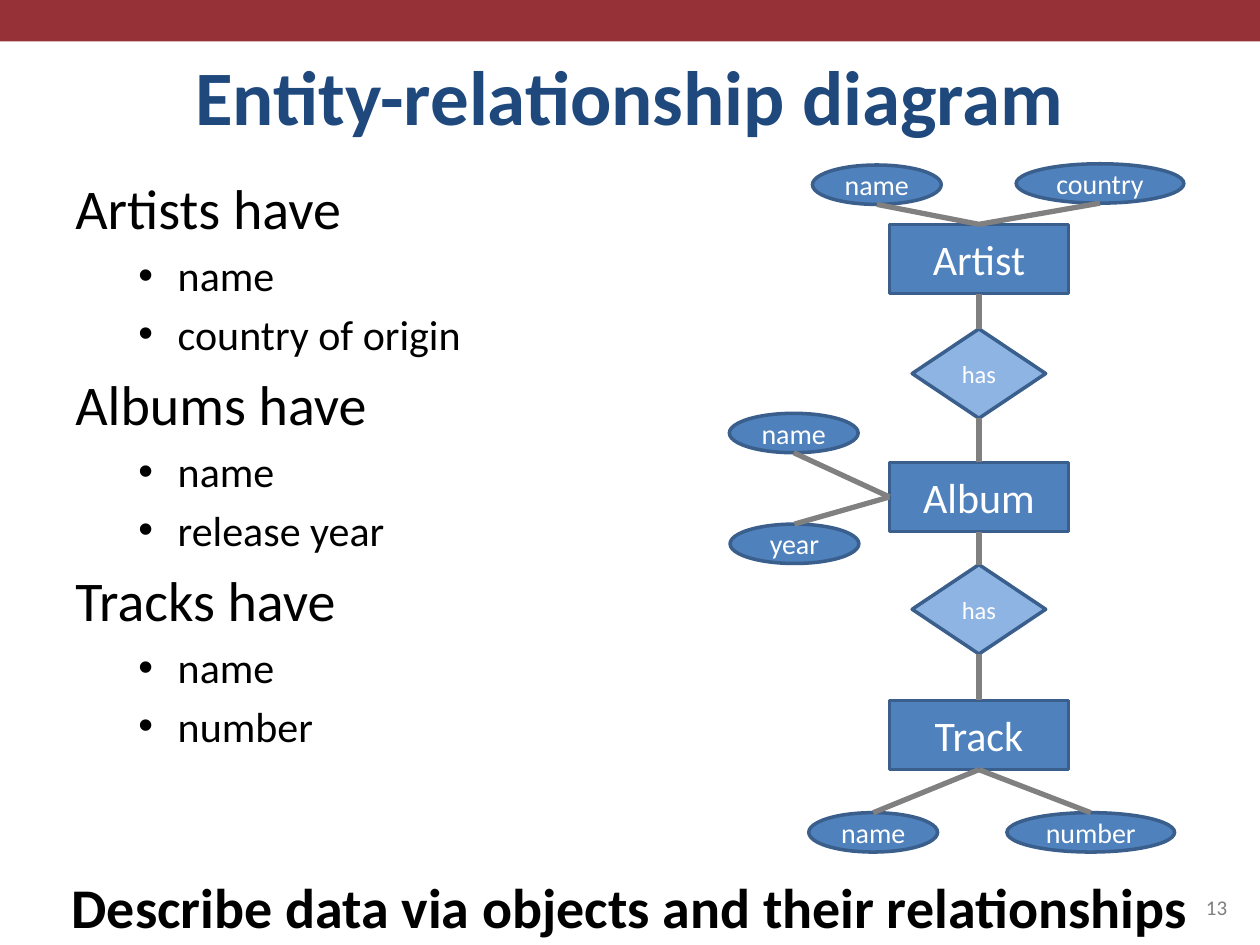
from lxml.etree import SubElement
from pptx import Presentation
from pptx.dml.color import RGBColor
from pptx.enum.shapes import MSO_CONNECTOR, MSO_SHAPE
from pptx.enum.text import MSO_ANCHOR, PP_ALIGN
from pptx.oxml.ns import qn
from pptx.util import Pt

CENTER = 559.4
ENTITY_SIZE = (102.2, 39.6)
RELATION_SIZE = (76.3, 51.1)
ATTRIBUTE_HEIGHT = 22.5
BLUE, LIGHT_BLUE, OUTLINE = "4F81BD", "8EB4E3", "3A5F8C"

ENTITIES = [("Artist", 128.2), ("Album", 264.2), ("Track", 400.2)]
RELATION_TOPS = [187.9, 322.6]
ATTRIBUTES = [
    ("name", 501.1, 94.3, 73.6, "Artist"),
    ("country", 628.6, 93.6, 95.8, "Artist"),
    ("name", 453.6, 236.2, 73.6, "Album"),
    ("year", 454, 299.5, 73.6, "Album"),
    ("name", 499, 464.4, 73.6, "Track"),
    ("number", 623.3, 464.4, 95.8, "Track"),
]
CONTENT = [
    ("Artists have", ["name", "country of origin"]),
    ("Albums have", ["name", "release year"]),
    ("Tracks have", ["name", "number"]),
]


def color(value):
    return RGBColor.from_string(value)


def add_span(para, text, size, ink, bold=False):
    span = para.add_run()
    span.text = text
    settings = {"name": "Calibri", "size": Pt(size), "bold": bold}
    for key, value in settings.items():
        setattr(span.font, key, value)
    span.font.color.rgb = color(ink)


def set_text(shape, text, size, ink, bold=False, align=PP_ALIGN.CENTER,
             anchor=MSO_ANCHOR.MIDDLE, wrap=True):
    frame = shape.text_frame
    for key, value in {"word_wrap": wrap, "vertical_anchor": anchor}.items():
        setattr(frame, key, value)
    para = frame.paragraphs[0]
    para.alignment = align
    add_span(para, text, size, ink, bold)


def add_box(page, left, top, width, height):
    return page.shapes.add_textbox(Pt(left), Pt(top), Pt(width), Pt(height))


def add_shape(page, kind, left, top, width, height, fill, outline=None):
    shape = page.shapes.add_shape(kind, Pt(left), Pt(top), Pt(width), Pt(height))
    shape.shadow.inherit = False
    shape.fill.solid()
    shape.fill.fore_color.rgb = color(fill)
    if outline:
        shape.line.color.rgb = color(outline)
        shape.line.width = Pt(2)
    else:
        shape.line.fill.background()
    return shape


def add_node(page, kind, text, center, top, size, fill, font_size):
    width, height = size
    node = add_shape(page, kind, center - width / 2, top, width, height,
                     fill, OUTLINE)
    set_text(node, text, font_size, "FFFFFF", wrap=False)


def add_link(page, start, end):
    link = page.shapes.add_connector(
        MSO_CONNECTOR.STRAIGHT, *(Pt(value) for value in (*start, *end)))
    link.line.color.rgb = color("808080")
    link.line.width = Pt(3)
    SubElement(link._element.spPr, qn("a:effectLst"))


def add_bullet(para):
    properties = para._p.get_or_add_pPr()
    properties.set("marL", str(Pt(58.5)))
    properties.set("indent", str(Pt(-22.5)))
    SubElement(properties, qn("a:buFont")).set("typeface", "Arial")
    SubElement(properties, qn("a:buChar")).set("char", "•")


def add_content(page):
    frame = add_box(page, 36, 95.8, 648, 386.6).text_frame
    frame.word_wrap = True
    for index, (heading, items) in enumerate(CONTENT):
        para = frame.add_paragraph() if index else frame.paragraphs[0]
        para.space_before = Pt(6.4 if index else 0)
        add_span(para, heading, 32, "000000")
        for item in items:
            para = frame.add_paragraph()
            para.space_before = Pt(4.8)
            add_bullet(para)
            add_span(para, item, 24, "000000")


def add_diagram(page):
    tops = dict(ENTITIES)
    width, height = ENTITY_SIZE
    for text, top in ENTITIES:
        add_node(page, MSO_SHAPE.RECTANGLE, text, CENTER, top, ENTITY_SIZE,
                 BLUE, 24)
    for index, top in enumerate(RELATION_TOPS):
        add_node(page, MSO_SHAPE.FLOWCHART_DECISION, "has", CENTER, top,
                 RELATION_SIZE, LIGHT_BLUE, 14)
        above, below = ENTITIES[index][1] + height, ENTITIES[index + 1][1]
        add_link(page, (CENTER, above), (CENTER, top))
        add_link(page, (CENTER, top + RELATION_SIZE[1]), (CENTER, below))
    anchors = {
        "Artist": (CENTER, tops["Artist"]),
        "Album": (CENTER - width / 2, tops["Album"] + height / 2),
        "Track": (CENTER, tops["Track"] + height),
    }
    for text, center, top, oval_width, entity in ATTRIBUTES:
        add_node(page, MSO_SHAPE.OVAL, text, center, top,
                 (oval_width, ATTRIBUTE_HEIGHT), BLUE, 16)
        anchor = anchors[entity]
        edge = top + ATTRIBUTE_HEIGHT if top < anchor[1] else top
        add_link(page, anchor, (center, edge))


def main():
    deck = Presentation()
    deck.slide_width, deck.slide_height = Pt(720), Pt(540)
    page = deck.slides.add_slide(deck.slide_layouts[6])
    add_shape(page, MSO_SHAPE.RECTANGLE, 0, 0, 720, 23.6, "963237")
    footer = add_shape(page, MSO_SHAPE.RECTANGLE, 0, 495.4, 720, 44.6, "FFFFFF")
    set_text(footer, "Describe data via objects and their relationships",
             32, "000000", bold=True)
    title = add_box(page, 36, 21.6, 648, 62.6)
    set_text(title, "Entity-relationship diagram", 44, "1F497D", bold=True,
             anchor=MSO_ANCHOR.BOTTOM)
    add_content(page)
    number = add_box(page, 516.2, 491.8, 192.2, 37.4)
    set_text(number, "13", 12, "808080", align=PP_ALIGN.RIGHT,
             anchor=MSO_ANCHOR.BOTTOM)
    add_diagram(page)
    deck.save("out.pptx")


if __name__ == "__main__":
    main()
